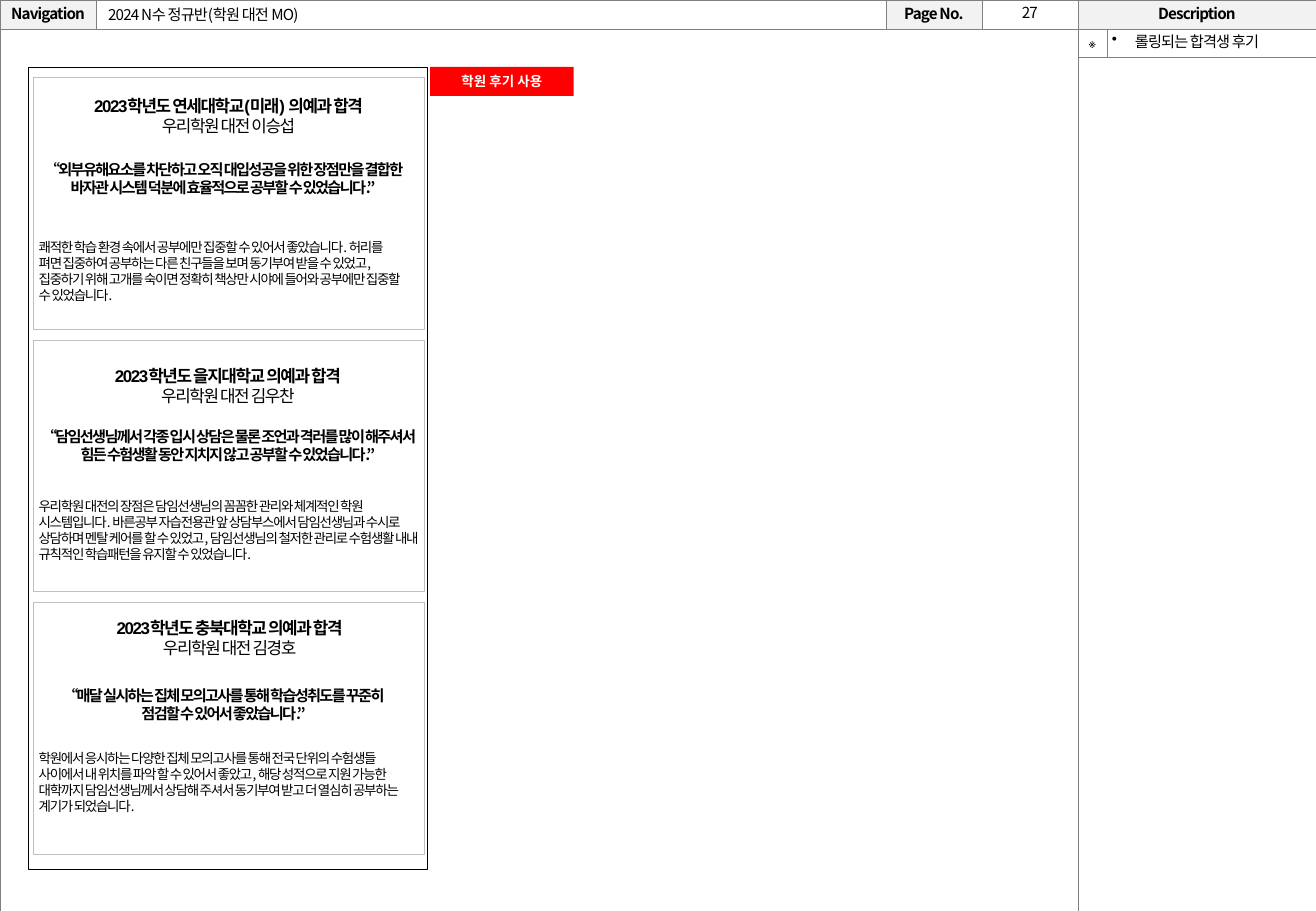
from lxml import etree
from pptx import Presentation
from pptx.dml.color import RGBColor
from pptx.enum.shapes import MSO_SHAPE
from pptx.enum.text import MSO_ANCHOR, MSO_AUTO_SIZE, PP_ALIGN
from pptx.oxml.ns import qn
from pptx.util import Inches, Pt

RECT = MSO_SHAPE.RECTANGLE
MIDDLE = MSO_ANCHOR.MIDDLE
LEFT, CENTER = PP_ALIGN.LEFT, PP_ALIGN.CENTER
NO_FIT = MSO_AUTO_SIZE.NONE

BLACK = RGBColor(0x00, 0x00, 0x00)
WHITE = RGBColor(0xFF, 0xFF, 0xFF)
RED = RGBColor(0xFF, 0x00, 0x00)
HEADER_FILL = RGBColor(0xF2, 0xF2, 0xF2)
CARD_LINE = RGBColor(0xBF, 0xBF, 0xBF)
GRID_LINE = "808080"
SANS, ARIAL = "Noto Sans CJK KR", "Arial"
PLAIN_STYLE = "{2D5ABB26-0587-4C30-8999-92F81FD0307C}"

SLIDE_W, SLIDE_H = 10.83, 7.5
COLS = [0.79, 6.5, 0.79, 0.79, 1.96]
HEADER_H = 0.24
DESC_X = sum(COLS[:4])
LINE_RATIO = 1.19
PANEL = (0.23, 0.55, 3.29, 6.61)
CARD_W, CARD_H, CARD_PITCH = 3.22, 2.07, 2.16

REVIEWS = [
    dict(
        heading=(0.1, 0.1, 3.02, "2023학년도 연세대학교(미래) 의예과 합격", "우리학원 대전 이승섭"),
        quote=(-0.08, 0.63, 3.29, ["“외부유해요소를 차단하고 오직 대입성공을 위한 장점만을 결합한 "
                                  "바자관 시스템 덕분에 효율적으로 공부할 수 있었습니다.”"]),
        body=(-0.05, 1.28, 3.22, "쾌적한 학습 환경 속에서 공부에만 집중할 수 있어서 좋았습니다. 허리를 "
              "펴면 집중하여 공부하는 다른 친구들을 보며 동기부여 받을 수 있었고, 집중하기 위해 고개를 "
              "숙이면 정확히 책상만 시야에 들어와 공부에만 집중할 수 있었습니다."),
    ),
    dict(
        heading=(0.3, 0.16, 2.61, "2023학년도 을지대학교 의예과 합격", "우리학원 대전 김우찬"),
        quote=(-0.08, 0.67, 3.37, ["“담임선생님께서 각종 입시 상담은 물론 조언과 격러를 많이 해주셔서 "
                                  "힘든 수험생활 동안 지치지 않고 공부할 수 있었습니다.”"]),
        body=(-0.05, 1.25, 3.33, "우리학원 대전의 장점은 담임선생님의 꼼꼼한 관리와 체계적인 학원 "
              "시스템입니다. 바른공부 자습전용관 앞 상담부스에서 담임선생님과 수시로 상담하며 멘탈 케어를 "
              "할 수 있었고, 담임선생님의 철저한 관리로 수험생활 내내 규칙적인 학습패턴을 유지할 수 있었습니다."),
    ),
    dict(
        heading=(0.24, 0.08, 2.76, "2023학년도 충북대학교 의예과 합격", "우리학원 대전 김경호"),
        quote=(-0.07, 0.64, 3.28, ["“매달 실시하는 집체 모의고사를 통해 학습성취도를 꾸준히",
                                  "점검할 수 있어서 좋았습니다.”"]),
        body=(-0.05, 1.17, 3.28, "학원에서 응시하는 다양한 집체 모의고사를 통해 전국 단위의 수험생들 "
              "사이에서 내 위치를 파악 할 수 있어서 좋았고, 해당 성적으로 지원 가능한 대학까지 "
              "담임선생님께서 상담해 주셔서 동기부여 받고 더 열심히 공부하는 계기가 되었습니다."),
    ),
]


def write(p, text, size=9, font=SANS, color=BLACK, bold=False, spacing=-0.5, align=LEFT):
    p.alignment = align
    p.line_spacing = Pt(round(size * LINE_RATIO, 1))
    r = p.add_run()
    r.text = text
    r.font.size = Pt(size)
    r.font.bold = bold
    r.font.color.rgb = color
    r.font.name = font
    rPr = r._r.get_or_add_rPr()
    rPr.set("spc", str(round(spacing * 100)))
    etree.SubElement(rPr, qn("a:ea")).set("typeface", SANS)


def add_text(slide, x, y, w, h, lines, **fmt):
    tf = slide.shapes.add_textbox(Inches(x), Inches(y), Inches(w), Inches(h)).text_frame
    tf.word_wrap = True
    for i, line in enumerate(lines):
        write(tf.add_paragraph() if i else tf.paragraphs[0], line, **fmt)
    return tf


def add_rect(slide, x, y, w, h, fill=None, line=None):
    sp = slide.shapes.add_shape(RECT, Inches(x), Inches(y), Inches(w), Inches(h))
    sp.shadow.inherit = False
    if fill is None:
        sp.fill.background()
    else:
        sp.fill.solid()
        sp.fill.fore_color.rgb = fill
    if line is None:
        sp.line.fill.background()
    else:
        sp.line.color.rgb = line
        sp.line.width = Pt(0.25)
    return sp


def format_cell(cell, margin, fill=WHITE):
    cell.vertical_anchor = MIDDLE
    cell.margin_left = cell.margin_right = Inches(margin)
    cell.margin_top = cell.margin_bottom = Inches(margin)
    tcPr = cell._tc.get_or_add_tcPr()
    for side in ("lnL", "lnR", "lnT", "lnB"):
        ln = etree.SubElement(tcPr, qn(f"a:{side}"), w=str(Pt(0.25)))
        solid = etree.SubElement(ln, qn("a:solidFill"))
        etree.SubElement(solid, qn("a:srgbClr"), val=GRID_LINE)
    cell.fill.solid()
    cell.fill.fore_color.rgb = fill


def add_grid(slide, x, y, cols, rows):
    frame = slide.shapes.add_table(len(rows), len(cols), Inches(x), Inches(y),
                                   Inches(sum(cols)), Inches(sum(rows)))
    table = frame.table
    table._tbl.tblPr.find(qn("a:tableStyleId")).text = PLAIN_STYLE
    table.first_row = table.horz_banding = False
    for column, w in zip(table.columns, cols):
        column.width = Inches(w)
    for row, h in zip(table.rows, rows):
        row.height = Inches(h)
    return table


def add_page_frame(slide):
    table = add_grid(slide, 0, 0, COLS, [HEADER_H, SLIDE_H - HEADER_H])
    labels = {0: "Navigation", 2: "Page No.", 4: "Description"}
    for row in range(2):
        for col in range(len(COLS)):
            cell = table.cell(row, col)
            label = labels.get(col) if row == 0 else None
            format_cell(cell, 0, HEADER_FILL if label else WHITE)
            p = cell.text_frame.paragraphs[0]
            if label:
                write(p, label, bold=True, align=CENTER)
            else:
                etree.SubElement(p._p, qn("a:endParaRPr")).set("sz", "900")
    table.cell(1, 0).merge(table.cell(1, 3))
    add_text(slide, 8.09, -0.02, 0.77, 0.25, ["27"], align=CENTER)


def add_title(slide, x, y, w, h, text):
    title = slide.shapes.title
    slide.shapes._spTree.append(title._element)
    title.left, title.top = Inches(x), Inches(y)
    title.width, title.height = Inches(w), Inches(h)
    tf = title.text_frame
    tf.auto_size = NO_FIT
    tf.vertical_anchor = MIDDLE
    write(tf.paragraphs[0], text)


def add_description(slide, x, y):
    table = add_grid(slide, x, y, [0.24, 1.72], [0.23])
    mark, note = table.cell(0, 0), table.cell(0, 1)
    for cell in (mark, note):
        format_cell(cell, 0.04)
    write(mark.text_frame.paragraphs[0], "※", size=8, font=ARIAL, spacing=-1, align=CENTER)
    p = note.text_frame.paragraphs[0]
    pPr = p._p.get_or_add_pPr()
    pPr.set("marL", str(Inches(0.19)))
    pPr.set("indent", str(Inches(-0.19)))
    etree.SubElement(pPr, qn("a:buChar")).set("char", "•")
    write(p, "롤링되는 합격생 후기")


def add_review(slide, x, y, heading, quote, body):
    add_rect(slide, x, y, CARD_W, CARD_H, WHITE, CARD_LINE)
    dx, dy, w, result, student = heading
    tf = add_text(slide, x + dx, y + dy, w, 0.44, [result], size=10, font=ARIAL,
                  bold=True, spacing=-0.8, align=CENTER)
    write(tf.add_paragraph(), student, size=10, font=ARIAL, spacing=-0.8, align=CENTER)
    dx, dy, w, lines = quote
    add_text(slide, x + dx, y + dy, w, 0.4, lines, bold=True, spacing=-1, align=CENTER)
    dx, dy, w, text = body
    add_text(slide, x + dx, y + dy, w, 0.64, [text], size=8, spacing=-0.8)


def add_review_panel(slide, x, y, w, h):
    add_rect(slide, x, y, w, h, line=BLACK)
    for i, review in enumerate(REVIEWS):
        add_review(slide, x + 0.04, y + 0.09 + i * CARD_PITCH, **review)
    tag = add_rect(slide, x + w + 0.02, y, 1.18, 0.24, RED)
    tag.text_frame.vertical_anchor = MIDDLE
    write(tag.text_frame.paragraphs[0], "학원 후기 사용", size=8, color=WHITE,
          bold=True, spacing=0, align=CENTER)


def main():
    prs = Presentation()
    prs.slide_width, prs.slide_height = Inches(SLIDE_W), Inches(SLIDE_H)
    slide = prs.slides.add_slide(prs.slide_layouts[5])
    add_page_frame(slide)
    add_title(slide, COLS[0], 0, COLS[1], HEADER_H, "2024 N수 정규반(학원 대전 MO)")
    add_description(slide, DESC_X, HEADER_H)
    add_review_panel(slide, *PANEL)
    prs.save("out.pptx")


if __name__ == "__main__":
    main()
